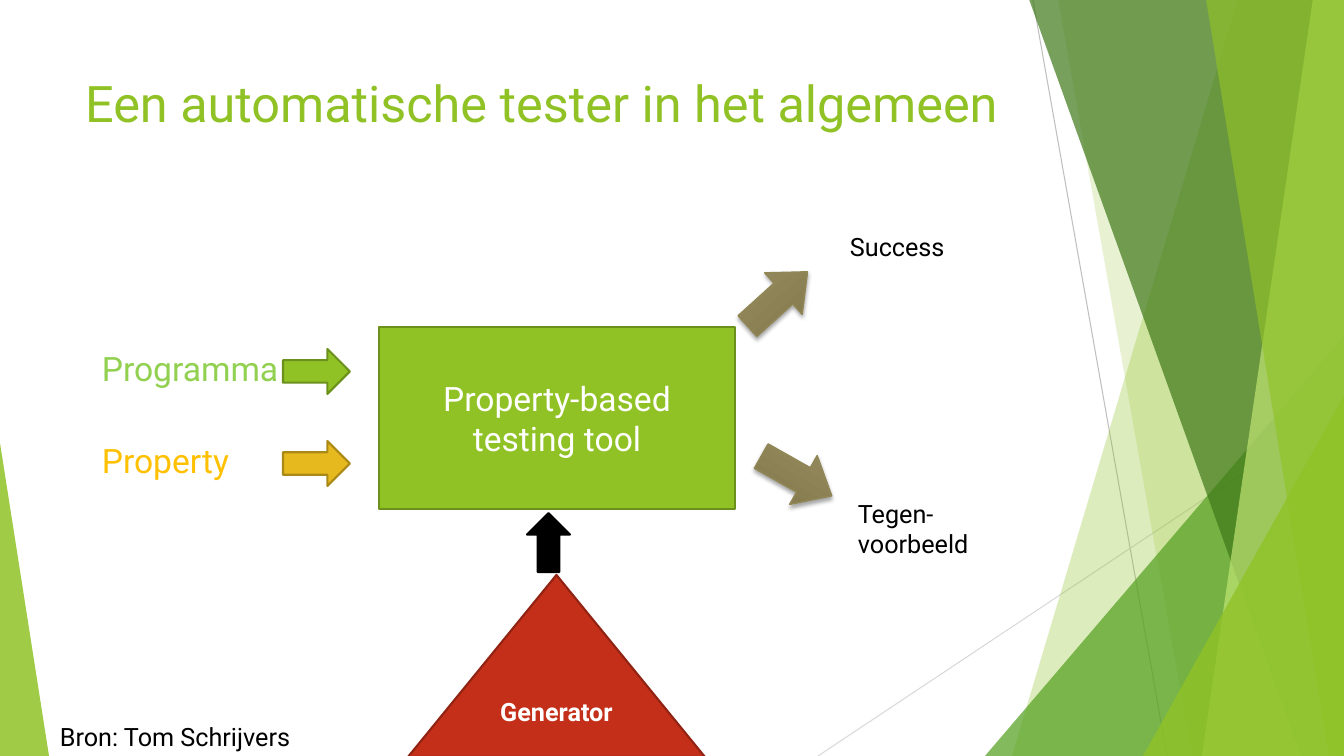
from lxml.etree import SubElement as Sub
from pptx import Presentation
from pptx.dml.color import RGBColor as RGB
from pptx.enum.shapes import MSO_CONNECTOR as Link, MSO_SHAPE as Kind
from pptx.enum.text import MSO_ANCHOR as Anchor, MSO_AUTO_SIZE as Fit, PP_ALIGN as Align
from pptx.oxml.ns import qn
from pptx.util import Pt

PX = 914400 / 100.8
HEX = {
    "green": "90C226", "moss": "6B901C", "leaf": "54A021", "dark": "3F7819",
    "pale": "C0E474", "lime": "92D050", "amber": "FFC000", "gold": "E6B91E",
    "ochre": "AA8916", "red": "C42F1A", "wine": "912313", "black": "000000",
    "white": "FFFFFF", "sand": "988E64", "clay": "857B4E", "mud": "918655",
    "grey": "BFBFBF", "mist": "D9D9D9",
}


def paint(shape, fill, edge=None, alpha=None):
    """Fill and outline a shape; alpha is its opacity in percent."""
    shape.shadow.inherit = False
    shape.fill.solid()
    shape.fill.fore_color.rgb = RGB.from_string(HEX[fill])
    if alpha:
        tint = shape.element.spPr.find(qn("a:solidFill"))[0]
        Sub(tint, qn("a:alpha"), val=str(alpha * 1000))
    if edge:
        shape.line.color.rgb = RGB.from_string(HEX[edge])
        shape.line.width = Pt(1.5)
    else:
        shape.line.fill.background()


def write(shape, text, size, color, align=Align.LEFT, bold=False):
    frame = shape.text_frame
    frame.word_wrap = True
    para = frame.paragraphs[0]
    para.alignment = align
    run = para.add_run()
    run.text = text
    look = {"name": "Roboto", "size": Pt(size), "bold": bold}
    for key, val in look.items():
        setattr(run.font, key, val)
    run.font.color.rgb = RGB.from_string(HEX[color])


deck = Presentation()
deck.slide_width, deck.slide_height = round(1344 * PX), round(756 * PX)
slide = deck.slides.add_slide(deck.slide_layouts[5])
shapes = slide.shapes

# Backdrop: thin lines, then translucent bands and corners
for ends, color in (((1033, 0, 1167, 756), "grey"), ((1344, 406, 818, 756), "mist")):
    line = shapes.add_connector(Link.STRAIGHT, *(round(n * PX) for n in ends))
    line.line.color.rgb = RGB.from_string(HEX[color])
    line.line.width = Pt(0.75)
    Sub(line.element.spPr, qn("a:effectLst"))

# Each band runs to the right edge: (top x, bottom x); a corner is a box with its apex
backdrop = [
    ((1238, 1012), None, "green", 30),
    ((1058, 1192), None, "green", 20),
    ((985, 336, 359, 420), 1, "leaf", 72),
    ((1029, 1301), None, "dark", 70),
    ((1313, 1202), None, "pale", 70),
    ((1206, 1329), None, "green", 65),
    ((1143, 396, 201, 360), 1, "green", 80),
    ((0, 443, 49, 313), 0, "green", 85),
]
for place, apex, color, alpha in backdrop:
    if apex is None:
        top, foot = place
        pen = shapes.build_freeform(top, -1, scale=PX)
        pen.add_line_segments([(1344, -1), (1344, 756), (foot, 756)], close=True)
        part = pen.convert_to_shape()
    else:
        part = shapes.add_shape(Kind.ISOSCELES_TRIANGLE, *(round(n * PX) for n in place))
        part.adjustments[0] = apex
    paint(part, color, alpha=alpha)

# Title
title = shapes.title
for key, val in {"left": 75, "top": 67, "width": 948, "height": 145}.items():
    setattr(title, key, round(val * PX))
title.text_frame.vertical_anchor = Anchor.TOP
title.text_frame.auto_size = Fit.NONE
write(title, "Een automatische tester in het algemeen", 36, "green")

# Labels
labels = [
    ((92, 435, 269, 50), "Property", 24, "amber"),
    ((92, 343, 269, 50), "Programma", 24, "lime"),
    ((840, 226, 174, 40), "Success", 18, "black"),
    ((848, 493, 174, 72), "Tegen-voorbeeld", 18, "black"),
    ((50, 716, 279, 40), "Bron: Tom Schrijvers", 18, "black"),
]
for place, text, size, color in labels:
    label = shapes.add_textbox(*(round(n * PX) for n in place))
    write(label, text, size, color)

# Tool, generator and the arrows into the tool
blocks = [
    (Kind.RIGHT_ARROW, (283, 349, 67, 45), "green", "moss", None),
    (Kind.RIGHT_ARROW, (283, 441, 67, 45), "gold", "ochre", None),
    (Kind.RECTANGLE, (379, 327, 356, 182), "green", "moss",
     ("Property-based testing tool", 24, "white", Align.CENTER)),
    (Kind.ISOSCELES_TRIANGLE, (408, 575, 297, 182), "red", "wine",
     ("Generator", 18, "white", Align.CENTER, True)),
    (Kind.UP_ARROW, (527, 513, 43, 59), "black", "black", None),
]
for kind, place, fill, edge, words in blocks:
    block = shapes.add_shape(kind, *(round(n * PX) for n in place))
    paint(block, fill, edge)
    if words:
        write(block, *words)

# Arrows to both outcomes
for left, top, turn in ((737, 271, 317.9), (756, 448, 29.4)):
    arrow = shapes.add_shape(Kind.RIGHT_ARROW, *(round(n * PX) for n in (left, top, 81, 56)))
    arrow.adjustments[1] = 0.58
    arrow.rotation = turn
    arrow.fill.gradient()
    arrow.fill.gradient_angle = 270
    stops = arrow.fill.gradient_stops
    for stop, color, spot in zip(stops, ("sand", "clay"), (0, 0.78)):
        stop.color.rgb = RGB.from_string(HEX[color])
        stop.position = spot
    arrow.line.color.rgb = RGB.from_string(HEX["mud"])
    arrow.line.width = Pt(1)
    arrow.shadow.inherit = False
    glow = arrow.element.spPr.find(qn("a:effectLst"))
    shade = Sub(glow, qn("a:outerShdw"), blurRad=str(Pt(3)), dist=str(Pt(2)),
                dir="5400000", rotWithShape="0")
    tint = Sub(shade, qn("a:srgbClr"), val=HEX["black"])
    Sub(tint, qn("a:alpha"), val="35000")

deck.save("out.pptx")
